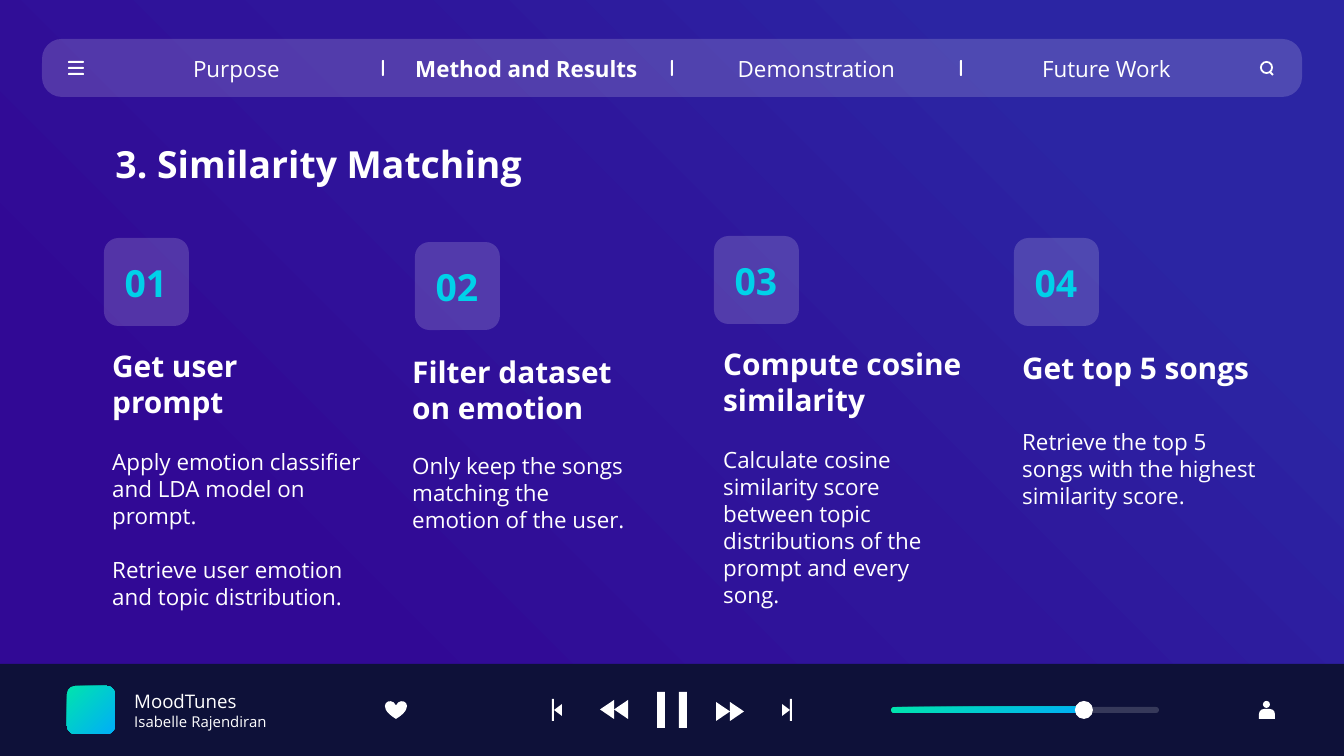
import copy

import lxml.etree
import pptx
import pptx.util
from pptx.dml.color import RGBColor
from pptx.enum.shapes import MSO_CONNECTOR, MSO_SHAPE
from pptx.enum.text import MSO_ANCHOR, MSO_AUTO_SIZE, PP_ALIGN
from pptx.oxml.ns import qn

PX = 914400 / 134.4
FONT = "Open Sans"
WHITE = RGBColor(0xFF, 0xFF, 0xFF)
CYAN = RGBColor(0x00, 0xD1, 0xE9)
NAVY = RGBColor(0x0E, 0x11, 0x39)
GLOW = [(0, RGBColor(0x00, 0xE4, 0xAE)), (1, RGBColor(0x00, 0xAE, 0xF8))]
NIGHT = [(0.21, RGBColor(0x31, 0x09, 0x95)), (0.53, RGBColor(0x2F, 0x15, 0x9B)),
         (0.82, RGBColor(0x2B, 0x25, 0xA3))]
GLASS = 17  # percent opacity

# Content
TITLE = "3. Similarity Matching"
TABS = ["Purpose", "Method and Results", "Demonstration", "Future Work"]
ACTIVE = 1
TRACK = ["MoodTunes", "Isabelle Rajendiran"]
# heading, body, tile (x, y), heading (x, y, w), body (y, w, h)
STEPS = [
    ("Get user prompt",
     ["Apply emotion classifier and LDA model on prompt.",
      "Retrieve user emotion and topic distribution."],
     (104, 238), (99, 360, 270), (435, 293, 204)),
    ("Filter dataset on emotion",
     ["Only keep the songs matching the emotion of the user."],
     (415, 242), (399, 366, 253), (439, 253, 191)),
    ("Compute cosine similarity",
     ["Calculate cosine similarity score between topic distributions "
      "of the prompt and every song."],
     (714, 236), (710, 358, 284), (433, 267, 204)),
    ("Get top 5 songs",
     ["Retrieve the top 5 songs with the highest similarity score."],
     (1014, 238), (1009, 344, 329), (415, 267, 235)),
]
# Player icons: bars (x, y, w, h) and triangles (base x, tip x, y, h)
BARS = [(657, 692, 8, 36), (679, 692, 8, 36), (552, 699, 2, 22), (790, 699, 2, 22)]
ARROWS = [(614, 600, 700, 19), (628, 614, 700, 19), (716, 730, 702, 19),
          (730, 744, 702, 19), (562, 554, 704, 12), (782, 790, 704, 12)]


def px(*vals):
    return [round(v * PX) for v in vals]


def blend(fill, host, stops, angle):
    fill.gradient()
    fill.gradient_angle = angle
    group = host.xpath(".//a:gsLst")[0]
    while len(group) < len(stops):
        group.append(copy.deepcopy(group[0]))
    for stop, (pos, color) in zip(fill.gradient_stops, stops):
        stop.position = pos
        stop.color.rgb = color


def paint(shape, color=WHITE, alpha=None):
    shape.shadow.inherit = False
    shape.line.fill.background()
    shape.fill.solid()
    shape.fill.fore_color.rgb = color
    if alpha:
        tint = shape._element.spPr.find(qn("a:solidFill"))[0]
        lxml.etree.SubElement(tint, qn("a:alpha")).set("val", str(alpha * 1000))
    return shape


def add(kind, box, color=WHITE, alpha=None, adj=None):
    shape = slide.shapes.add_shape(kind, *px(*box))
    if adj is not None:
        shape.adjustments[0] = adj
    return paint(shape, color, alpha)


def style(frame, size, color=WHITE, bold=False, align=PP_ALIGN.LEFT,
          anchor=MSO_ANCHOR.MIDDLE):
    frame.word_wrap = True
    frame.auto_size = MSO_AUTO_SIZE.NONE
    frame.vertical_anchor = anchor
    frame.margin_left = frame.margin_right = pptx.util.Inches(0.1)
    frame.margin_top = frame.margin_bottom = pptx.util.Inches(0.1)
    for para in frame.paragraphs:
        para.alignment = align
        for run in para.runs:
            run.font.name = FONT
            run.font.size = pptx.util.Pt(size)
            run.font.bold = bold
            run.font.color.rgb = color


def write(box, text, size, **look):
    frame = slide.shapes.add_textbox(*px(*box)).text_frame
    frame.text = text
    style(frame, size, **look)
    return frame


deck = pptx.Presentation()
deck.slide_width, deck.slide_height = px(1344, 756)
slide = deck.slides.add_slide(deck.slide_layouts[5])
blend(slide.background.fill, slide._element, NIGHT, 45)

# Title
title = slide.shapes.title
title.left, title.top, title.width, title.height = px(102, 136, 690, 55)
title.text_frame.text = TITLE
style(title.text_frame, 20, bold=True)

# Navigation bar
add(MSO_SHAPE.ROUNDED_RECTANGLE, (42, 39, 1260, 58), alpha=GLASS, adj=0.34)
for i, tab in enumerate(TABS):
    write((102 + 290 * i, 45, 269, 47), tab, 12, bold=i == ACTIVE,
          align=PP_ALIGN.CENTER)
    if i:
        add(MSO_SHAPE.ROUNDED_RECTANGLE, (93 + 289 * i, 60, 2, 16), adj=0.5)
for i in range(3):
    add(MSO_SHAPE.ROUNDED_RECTANGLE, (68, 61 + 6 * i, 16, 2), adj=0.5)

# Search icon
add(MSO_SHAPE.DONUT, (1260, 61, 13, 13), adj=0.14)
grip = slide.shapes.add_connector(MSO_CONNECTOR.STRAIGHT, *px(1270, 72, 1273, 75))
grip.line.color.rgb = WHITE
grip.line.width = pptx.util.Pt(1)
lxml.etree.SubElement(grip._element.spPr, qn("a:effectLst"))

# Steps
for num, (head, body, tile, spot, area) in enumerate(STEPS, 1):
    x, y = tile
    add(MSO_SHAPE.ROUNDED_RECTANGLE, (x, y, 85, 88), alpha=GLASS, adj=0.17)
    write((x - 21, y - 18, 126, 126), f"{num:02}", 20, color=CYAN, bold=True,
          align=PP_ALIGN.CENTER)
    left, top, wide = spot
    write((left, top, wide, 47), head, 16, bold=True)
    frame = write((left, *area), "\n".join(body), 12, anchor=MSO_ANCHOR.TOP)
    for para in frame.paragraphs[1:]:
        para.space_before = pptx.util.Pt(14.4)

# Player bar with the current track
add(MSO_SHAPE.RECTANGLE, (0, 664, 1344, 92), NAVY)
cover = add(MSO_SHAPE.ROUNDED_RECTANGLE, (67, 686, 48, 48), adj=0.17)
blend(cover.fill, cover._element, GLOW, 315)
track = write((121, 687, 230, 47), "\n".join(TRACK), 10)
track.paragraphs[1].runs[0].font.size = pptx.util.Pt(8)
add(MSO_SHAPE.HEART, (385, 701, 22, 18))

# Player controls
for bar in BARS:
    add(MSO_SHAPE.RECTANGLE, bar)
for base, tip, top, tall in ARROWS:
    path = slide.shapes.build_freeform(*px(base, top))
    path.add_line_segments([px(tip, top + tall / 2), px(base, top + tall)])
    paint(path.convert_to_shape())

# Progress slider
add(MSO_SHAPE.ROUNDED_RECTANGLE, (891, 707, 268, 6), alpha=GLASS, adj=0.5)
done = add(MSO_SHAPE.ROUNDED_RECTANGLE, (891, 707, 199, 6), adj=0.5)
blend(done.fill, done._element, GLOW, 315)
add(MSO_SHAPE.OVAL, (1075, 701, 18, 18))

# Profile icon
add(MSO_SHAPE.OVAL, (1263, 701, 7, 7))
add(MSO_SHAPE.ROUND_2_SAME_RECTANGLE, (1259, 709, 16, 10), adj=0.5)

deck.save("out.pptx")
